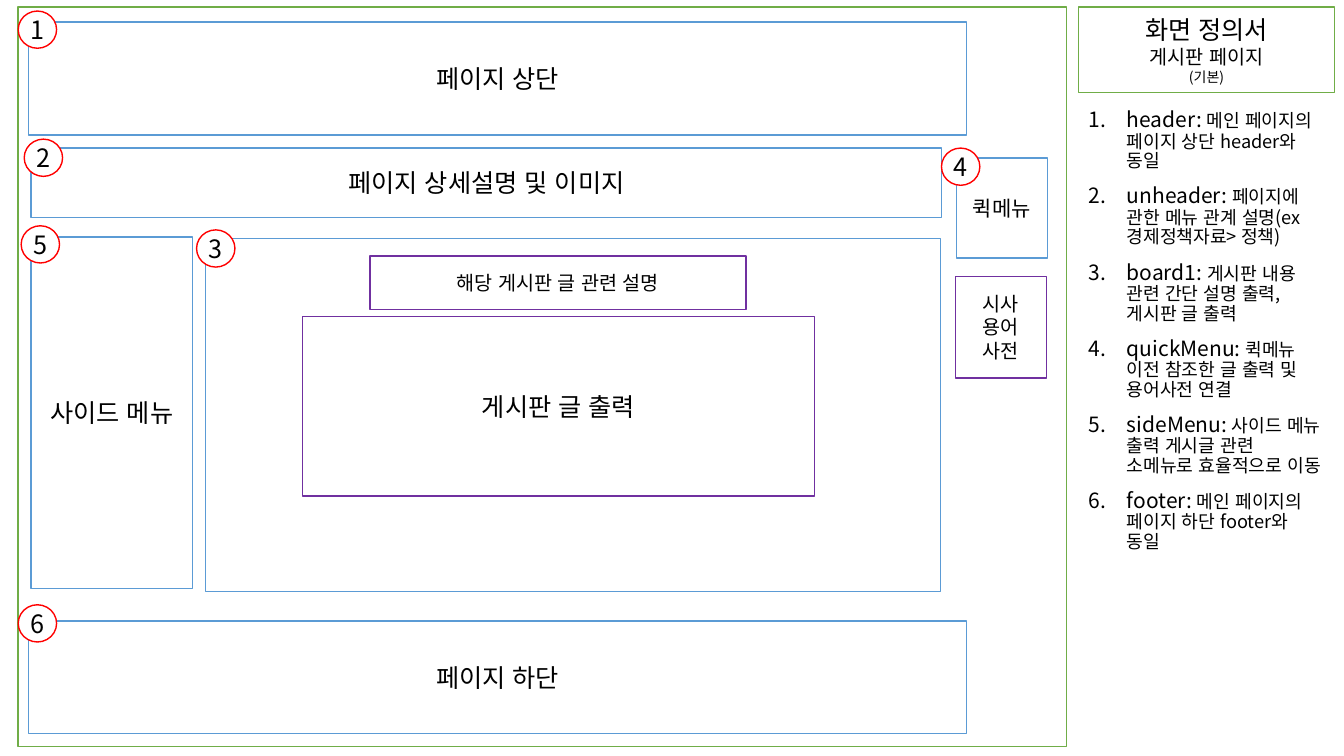
"""Build the screen definition slide for the board page."""
from dataclasses import dataclass

from lxml import etree
from pptx import Presentation
from pptx.dml.color import RGBColor
from pptx.enum import lang, shapes, text
from pptx.oxml import ns
from pptx.util import Pt


@dataclass(frozen=True)
class Theme:
    """Colours, font and type sizes of the slide."""
    font: str = "Noto Sans CJK KR"
    ink: str = "000000"
    paper: str = "FFFFFF"
    frame: str = "70AD47"
    area: str = "5B9BD5"
    content: str = "7030A0"
    marker: str = "FF0000"
    large: int = 18
    term: int = 15
    medium: int = 14
    note: int = 13
    small: int = 10


T = Theme()

AREAS = [
    ((13, 5, 748.8, 528.5), "", T.frame, T.large),
    ((20.2, 443.5, 670.3, 80.6), "페이지 하단", T.area, T.large),
    ((146.9, 170.6, 524.9, 252), "", T.area, T.large),
    ((22.3, 169.2, 115.2, 251.3), "사이드 메뉴", T.area, T.large),
    ((683.3, 113, 64.8, 71.3), "퀵메뉴", T.area, T.term),
    ((20.2, 15.8, 670.3, 80.6), "페이지 상단", T.area, T.large),
    ((264.2, 182.9, 268.6, 38.2), "해당 게시판 글 관련 설명", T.content, T.medium),
    ((216, 226.1, 365.8, 128.2), "게시판 글 출력", T.content, T.large),
    ((682.6, 197.3, 64.8, 72.7), "시사 용어 사전", T.content, T.medium),
    ((22.3, 105.8, 650.2, 49.7), "페이지 상세설명 및 이미지", T.area, T.large),
]

MARKERS = [(13, 7.9), (17.3, 99.4), (140.4, 164.2),
           (672.5, 105.8), (15.1, 161.3), (13, 432)]
MARKER_SIZE = (27.4, 26.6)

TITLE_BOX = (770.4, 5, 182.9, 61.2)
TITLE = [("화면 정의서", T.large), ("게시판 페이지", T.medium), ("(기본)", T.small)]

LIST_BOX = (770.4, 74.9, 182.9, 448.6)
LIST_INDENT = 27.4
DEFINITIONS = [
    ("header: ", "메인 페이지의 페이지 상단 header와 동일"),
    ("unheader: ", "페이지에 관한 메뉴 관계 설명(ex 경제정책자료> 정책)"),
    ("board1: ", "게시판 내용 관련 간단 설명 출력, 게시판 글 출력"),
    ("quickMenu: ", "퀵메뉴 이전 참조한 글 출력 및 용어사전 연결"),
    ("sideMenu: ", "사이드 메뉴 출력 게시글 관련 소메뉴로 효율적으로 이동"),
    ("footer: ", "메인 페이지의 페이지 하단 footer와 동일"),
]


def add_run(p, words, size):
    """Append one run in the theme font."""
    r = p.add_run()
    r.text = words
    r.font.size = Pt(size)
    r.font.name = T.font
    r.font.language_id = lang.MSO_LANGUAGE_ID.KOREAN
    r.font.color.rgb = RGBColor.from_string(T.ink)
    latin = r.font._element.find(ns.qn("a:latin"))
    ea = etree.Element(ns.qn("a:ea"), typeface=T.font)
    latin.addnext(ea)


def write_centred(sp, lines):
    """Fill a shape with centred lines of (words, size)."""
    tf = sp.text_frame
    tf.word_wrap = True
    tf.auto_size = text.MSO_AUTO_SIZE.NONE
    tf.vertical_anchor = text.MSO_ANCHOR.MIDDLE
    for i, (words, size) in enumerate(lines):
        p = tf.add_paragraph() if i else tf.paragraphs[0]
        p.alignment = text.PP_ALIGN.CENTER
        add_run(p, words, size)


def paint(sp, colour):
    """Give a shape the paper fill and a thin outline."""
    sp.fill.solid()
    sp.fill.fore_color.rgb = RGBColor.from_string(T.paper)
    sp.line.color.rgb = RGBColor.from_string(colour)
    sp.line.width = Pt(1)


def add_area(s, box, words, colour, size, kind=shapes.MSO_SHAPE.RECTANGLE):
    """Add one outlined shape with an optional centred label."""
    sp = s.shapes.add_shape(kind, *map(Pt, box))
    sp.shadow.inherit = False
    paint(sp, colour)
    if words:
        write_centred(sp, [(words, size)])
    return sp


def add_marker(s, number, corner):
    """Add one numbered circle."""
    sp = add_area(s, corner + MARKER_SIZE, str(number), T.marker, T.large,
                  shapes.MSO_SHAPE.FLOWCHART_CONNECTOR)
    tf = sp.text_frame
    tf.margin_left = tf.margin_right = tf.margin_top = tf.margin_bottom = 0


def set_title(s):
    """Place and format the title placeholder."""
    sp = s.shapes.title
    sp.left, sp.top, sp.width, sp.height = map(Pt, TITLE_BOX)
    paint(sp, T.frame)
    write_centred(sp, TITLE)


def number_paragraph(p):
    """Give a paragraph an automatic number with a hanging indent."""
    pPr = p._p.get_or_add_pPr()
    pPr.set("marL", str(Pt(LIST_INDENT)))
    pPr.set("indent", str(-Pt(LIST_INDENT)))
    etree.SubElement(pPr, ns.qn("a:buFont"), typeface=T.font)
    etree.SubElement(pPr, ns.qn("a:buAutoNum"), type="arabicPeriod")


def add_definitions(s):
    """Add the numbered list of page areas."""
    tf = s.shapes.add_textbox(*map(Pt, LIST_BOX)).text_frame
    tf.word_wrap = True
    for i, (term, note) in enumerate(DEFINITIONS):
        p = tf.add_paragraph() if i else tf.paragraphs[0]
        number_paragraph(p)
        p.line_spacing = 0.9
        p.space_before = Pt(10 if i else 0)
        add_run(p, term, T.term)
        add_run(p, note, T.note)


def main():
    """Build and save the slide."""
    prs = Presentation()
    prs.slide_width, prs.slide_height = Pt(960), Pt(540)
    s = prs.slides.add_slide(prs.slide_layouts.get_by_name("Title Only"))
    set_title(s)
    for area in AREAS:
        add_area(s, *area)
    for number, corner in enumerate(MARKERS, 1):
        add_marker(s, number, corner)
    add_definitions(s)
    prs.save("out.pptx")


if __name__ == "__main__":
    main()
